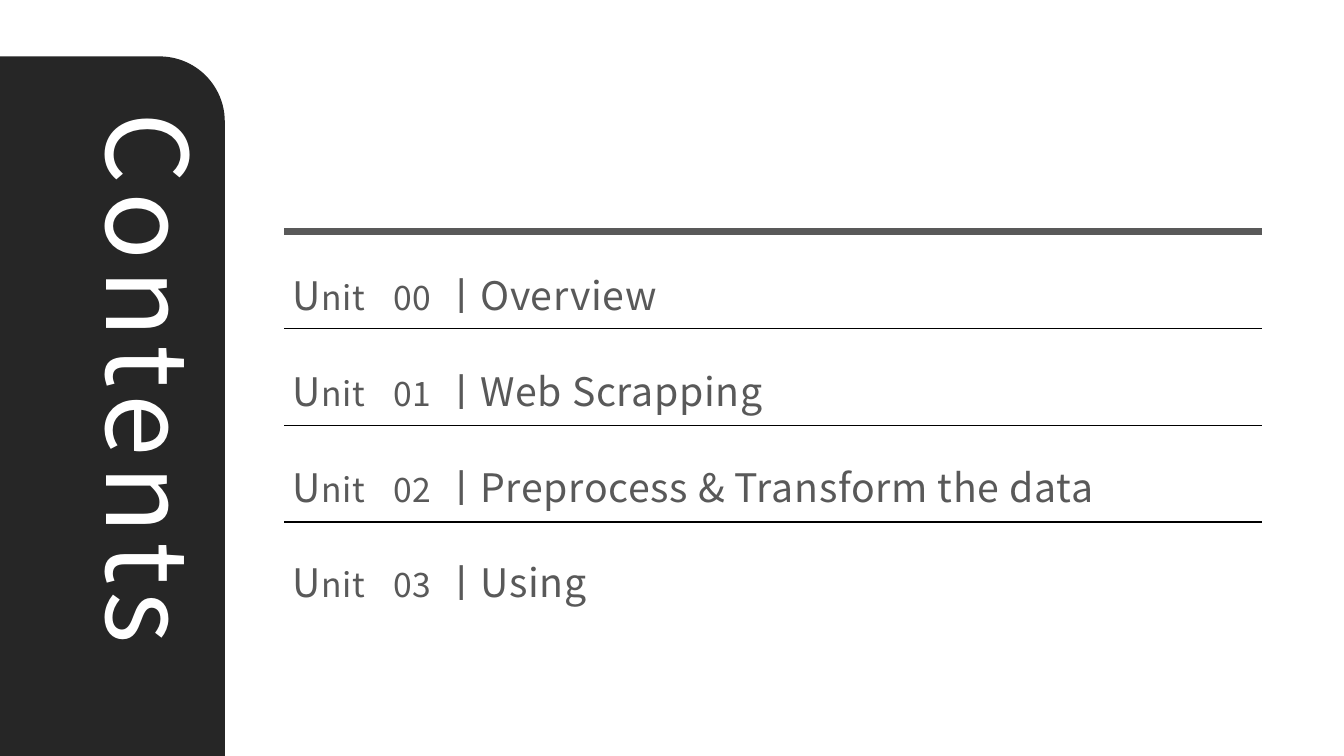
import pptx
import pptx.dml.color
import pptx.enum.shapes
import pptx.enum.text
import pptx.oxml
import pptx.oxml.ns
import pptx.util

RGBColor = pptx.dml.color.RGBColor
DARK = RGBColor(0x26, 0x26, 0x26)
GREY = RGBColor(0x59, 0x59, 0x59)
BLACK = RGBColor(0, 0, 0)
WHITE = RGBColor(255, 255, 255)
FONT = "Noto Sans CJK KR"
INCH = pptx.util.Inches
PT = pptx.util.Pt

# Grid of the unit list
LEFT, RIGHT = 2.82, 12.52
TOP, ROW = 2.3, 0.96
TABS = (0.9, 1.54)
UNITS = ("Overview", "Web Scrapping", "Preprocess & Transform the data", "Using")


def add_sub(parent, tag, **attrs):
    node = pptx.oxml.parse_xml(f"<{tag} {pptx.oxml.ns.nsdecls('a')}/>")
    for name, value in attrs.items():
        node.set(name, str(value))
    parent.append(node)
    return node


def add_run(para, text, size, color, gap):
    run = para.add_run()
    run.text = text
    run.font.size = PT(size)
    run.font.name = FONT
    run.font.color.rgb = color
    props = run._r.get_or_add_rPr()
    props.set("spc", str(int(gap * 100)))
    add_sub(props, "a:ea", typeface=FONT)


def place(shape, left, top, width, height):
    shape.left, shape.top = INCH(left), INCH(top)
    shape.width, shape.height = INCH(width), INCH(height)


def add_panel(slide):
    kind = pptx.enum.shapes.MSO_SHAPE.ROUND_1_RECTANGLE
    panel = slide.shapes.add_shape(kind, 0, INCH(0.56), INCH(2.23), INCH(6.94))
    panel.adjustments[0] = 0.29
    panel.shadow.inherit = False
    panel.fill.solid()
    panel.fill.fore_color.rgb = DARK
    panel.line.fill.background()
    # Keep the panel behind the placeholders
    tree = slide.shapes._spTree
    tree.remove(panel._element)
    tree.insert(2, panel._element)


def set_title(slide, text):
    title = slide.shapes.title
    place(title, -1.98, 3.79, 6.97, 1.43)
    title.rotation = 90
    frame = title.text_frame
    frame.vertical_anchor = pptx.enum.text.MSO_ANCHOR.TOP
    frame.auto_size = pptx.enum.text.MSO_AUTO_SIZE.SHAPE_TO_FIT_TEXT
    para = frame.paragraphs[0]
    para.alignment = pptx.enum.text.PP_ALIGN.LEFT
    add_run(para, text, 80, WHITE, 6)


def set_units(slide, units):
    body = slide.placeholders[1]
    place(body, 2.8, 2.21, 9.43, 4 * ROW)
    frame = body.text_frame
    frame.margin_top = frame.margin_bottom = 0
    frame.auto_size = pptx.enum.text.MSO_AUTO_SIZE.NONE
    for i, name in enumerate(units):
        para = frame.add_paragraph() if i else frame.paragraphs[0]
        para.space_before = PT(0)
        para.line_spacing = PT(68.4)
        props = para._p.get_or_add_pPr()
        props.set("marL", "0")
        props.set("indent", "0")
        add_sub(props, "a:buNone")
        stops = add_sub(props, "a:tabLst")
        for tab in TABS:
            add_sub(stops, "a:tab", pos=INCH(tab), algn="l")
        parts = (("U", 28), ("nit", 24), ("\t", 28),
                 (f"{i:02}", 24), (f"\tㅣ{name}", 28))
        for text, size in parts:
            add_run(para, text, size, GREY, 0.5)


def add_rule(slide, row, color, width):
    y = INCH(TOP + row * ROW)
    kind = pptx.enum.shapes.MSO_CONNECTOR.STRAIGHT
    rule = slide.shapes.add_connector(kind, INCH(LEFT), y, INCH(RIGHT), y)
    rule.line.color.rgb = color
    rule.line.width = PT(width)
    add_sub(rule._element.spPr, "a:effectLst")


def main():
    deck = pptx.Presentation()
    deck.slide_width, deck.slide_height = INCH(13.33), INCH(7.5)
    slide = deck.slides.add_slide(deck.slide_layouts[1])

    # Side panel with the title
    add_panel(slide)
    set_title(slide, "Contents")

    # Unit list with a heavy top rule and thin row rules
    set_units(slide, UNITS)
    add_rule(slide, 0, GREY, 5)
    for row in range(1, len(UNITS)):
        add_rule(slide, row, BLACK, 1)

    deck.save("out.pptx")


if __name__ == "__main__":
    main()
